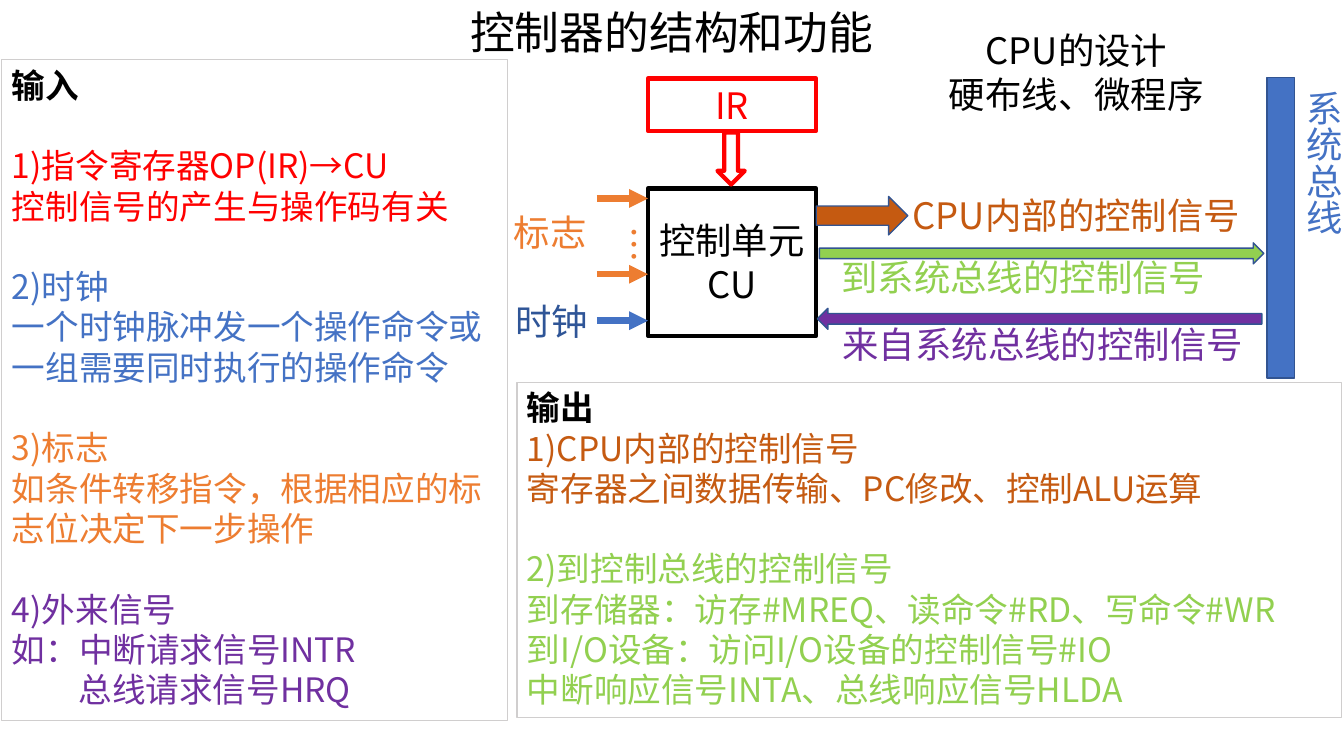
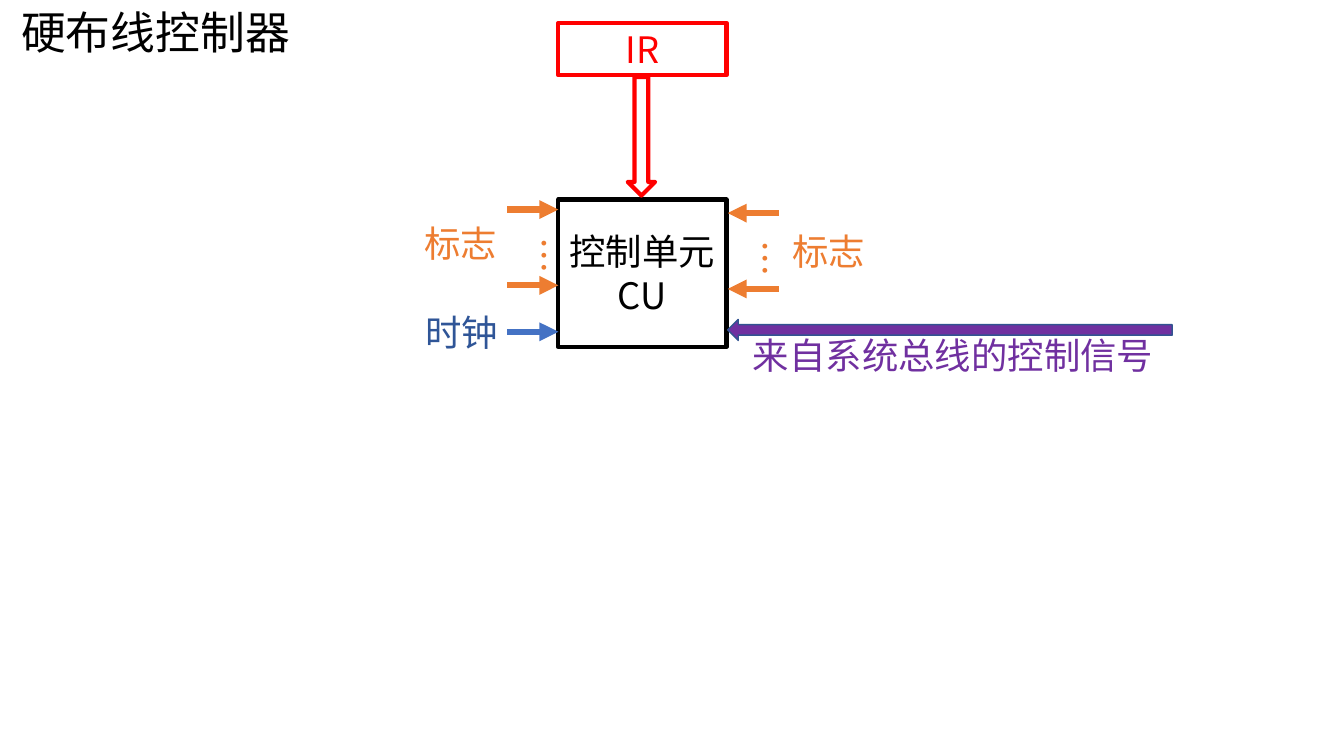
"""Build two slides on the structure of a CPU controller and its hardwired form."""
from lxml import etree
from pptx import Presentation
from pptx.dml.color import RGBColor
from pptx.enum.shapes import MSO_CONNECTOR, MSO_SHAPE
from pptx.enum.text import MSO_ANCHOR, PP_ALIGN
from pptx.oxml.ns import qn
from pptx.util import Cm, Pt

RECTANGLE = MSO_SHAPE.RECTANGLE
RIGHT_ARROW = MSO_SHAPE.RIGHT_ARROW
LEFT_ARROW = MSO_SHAPE.LEFT_ARROW
DOWN_ARROW = MSO_SHAPE.DOWN_ARROW
STRAIGHT = MSO_CONNECTOR.STRAIGHT
TOP = MSO_ANCHOR.TOP
LEFT, CENTER = PP_ALIGN.LEFT, PP_ALIGN.CENTER

FONT = "Noto Sans CJK SC"
LINE_PITCH = 1.2
TITLE_SIZE, LABEL_SIZE, PANEL_SIZE = 32, 26, 24
COLORS = {
    "black": "000000",
    "red": "FF0000",
    "blue": "4472C4",
    "navy": "2F5597",
    "outline": "325491",
    "orange": "ED7D31",
    "brown": "C55A11",
    "green": "92D050",
    "purple": "7030A0",
    "grey": "D0CECE",
}


def write_text(shape, text, color, size=LABEL_SIZE, alignment=CENTER):
    """Fill a shape with one paragraph per line of text and return the paragraphs."""
    frame = shape.text_frame
    frame.text = text
    for paragraph in frame.paragraphs:
        paragraph.alignment = alignment
        paragraph.line_spacing = Pt(round(size * LINE_PITCH, 1))
        font = paragraph.font
        font.size = Pt(size)
        font.bold = False
        font.color.rgb = RGBColor.from_string(COLORS[color])
        font.name = FONT
        east_asian = etree.Element(qn("a:ea"), typeface=FONT)
        font._element.find(qn("a:latin")).addnext(east_asian)
    return frame.paragraphs


def add_box(slide, kind, box, line, width, fill=None):
    """Add a preset shape placed in centimetres."""
    shape = slide.shapes.add_shape(kind, *map(Cm, box))
    shape.shadow.inherit = False
    shape.line.color.rgb = RGBColor.from_string(COLORS[line])
    shape.line.width = Pt(width)
    if fill:
        shape.fill.solid()
        shape.fill.fore_color.rgb = RGBColor.from_string(COLORS[fill])
    else:
        shape.fill.background()
    return shape


presentation = Presentation()
presentation.slide_width = Cm(33.87)
presentation.slide_height = Cm(19.05)
title_only = presentation.slide_layouts[5]

slides = []
for title_text, title_left, title_width in [
    ("控制器的结构和功能", 11.18, 11.51),
    ("硬布线控制器", 0, 7.85),
]:
    slide = presentation.slides.add_slide(title_only)
    title = slide.shapes.title
    title.left, title.top = Cm(title_left), Cm(0)
    title.width, title.height = Cm(title_width), Cm(1.63)
    title.text_frame.vertical_anchor = TOP
    write_text(title, title_text, "black", TITLE_SIZE)
    slides.append(slide)
overview, hardwired = slides

labels = [
    (overview, "CPU内部的控制信号", (22.61, 4.75, 9.04, 1.37), "brown", False),
    (overview, "到系统总线的控制信号", (20.5, 6.3, 10.59, 1.37), "green", False),
    (overview, "系统总线", (32.41, 2.03, 1.63, 3.96), "blue", True),
    (overview, "CPU的设计\n硬布线、微程序", (22.61, 0.58, 9.04, 2.49), "black", False),
]
arrows = []
flag_groups = []

for slide, unit_left, unit_top, register_top in [
    (overview, 16.33, 4.75, 1.98),
    (hardwired, 14.07, 5.03, 0.58),
]:
    unit = add_box(slide, RECTANGLE, (unit_left, unit_top, 4.24, 3.71), "black", 3)
    write_text(unit, "控制单元\nCU", "black")
    register = add_box(slide, RECTANGLE, (unit_left, register_top, 4.24, 1.32), "red", 3)
    write_text(register, "IR", "red")
    arrow_top = register_top + 1.36
    arrow_box = (unit_left + 1.75, arrow_top, 0.69, unit_top - 0.1 - arrow_top)
    add_box(slide, DOWN_ARROW, arrow_box, "red", 3)
    from_bus = (unit_left + 4.27, unit_top + 3.02, 11.2, 0.53)
    add_box(slide, LEFT_ARROW, from_bus, "outline", 1, "purple")

    input_left = unit_left - 1.29
    arrows.append((slide, input_left, unit_left, unit_top + 3.33, "blue"))
    flag_groups.append((slide, input_left, unit_left, unit_top + 0.25, unit_left - 3.73, unit_top + 0.41))
    labels += [
        (slide, "时钟", (unit_left - 3.7, unit_top + 2.67, 2.54, 1.37), "navy", False),
        (slide, "来自系统总线的控制信号", (unit_left + 4.57, unit_top + 3.23, 10.77, 1.37), "purple", False),
    ]

flag_groups.append((hardwired, 19.63, 18.34, 5.37, 19.61, 5.64))
for slide, start, tip, first_top, label_left, label_top in flag_groups:
    for arrow_top in (first_top, first_top + 1.91):
        arrows.append((slide, start, tip, arrow_top, "orange"))
    labels += [
        (slide, "…", (min(start, tip), first_top + 0.45, 1.63, 1.02), "orange", True),
        (slide, "标志", (label_left, label_top, 2.54, 1.37), "orange", False),
    ]

for kind, box, fill in [
    (RIGHT_ARROW, (20.57, 4.95, 2.31, 0.97), "brown"),
    (RIGHT_ARROW, (20.65, 6.12, 11.2, 0.53), "green"),
    (RECTANGLE, (31.93, 1.96, 0.69, 7.57), "blue"),
]:
    add_box(overview, kind, box, "outline", 1, fill)

for slide, start, tip, top, color in arrows:
    connector = slide.shapes.add_connector(STRAIGHT, Cm(start), Cm(top), Cm(tip), Cm(top))
    connector.line.color.rgb = RGBColor.from_string(COLORS[color])
    connector.line.width = Pt(4.5)
    etree.SubElement(connector.line._get_or_add_ln(), qn("a:tailEnd"), type="triangle")
    etree.SubElement(connector._element.spPr, qn("a:effectLst"))

for slide, text, box, color, vertical in labels:
    label = slide.shapes.add_textbox(*map(Cm, box))
    label.text_frame.word_wrap = not vertical
    if vertical:
        label.text_frame._txBody.bodyPr.set("vert", "eaVert")
    write_text(label, text, color, alignment=LEFT if vertical else CENTER)

input_sections = [
    ("black", ["输入"]),
    ("red", ["1)指令寄存器OP(IR)→CU", "控制信号的产生与操作码有关"]),
    ("blue", ["2)时钟", "一个时钟脉冲发一个操作命令或一组需要同时执行的操作命令"]),
    ("orange", ["3)标志", "如条件转移指令，根据相应的标志位决定下一步操作"]),
    ("purple", ["4)外来信号", "如：中断请求信号INTR", "总线请求信号HRQ"]),
]
output_sections = [
    ("brown", ["输出", "1)CPU内部的控制信号", "寄存器之间数据传输、PC修改、控制ALU运算"]),
    ("green", [
        "2)到控制总线的控制信号",
        "到存储器：访存#MREQ、读命令#RD、写命令#WR",
        "到I/O设备：访问I/O设备的控制信号#IO",
        "中断响应信号INTA、总线响应信号HLDA",
    ]),
]
for box, sections in [
    ((0.05, 1.5, 12.73, 16.66), input_sections),
    ((13.03, 9.63, 20.78, 8.46), output_sections),
]:
    panel = add_box(overview, RECTANGLE, box, "grey", 0.75)
    panel.text_frame.vertical_anchor = TOP
    lines = [line for color, section in sections for line in section]
    paragraphs = write_text(panel, "\n".join(lines), "black", PANEL_SIZE, LEFT)
    position = 0
    for color, section in sections:
        if position:
            paragraphs[position].space_before = Pt(PANEL_SIZE * LINE_PITCH)
        for paragraph in paragraphs[position:position + len(section)]:
            paragraph.font.color.rgb = RGBColor.from_string(COLORS[color])
        position += len(section)
    heading = paragraphs[0].font
    heading.bold = True
    heading.color.rgb = RGBColor.from_string(COLORS["black"])
    if sections is input_sections:
        paragraphs[-1]._p.get_or_add_pPr().set("marL", str(Cm(1.68)))

presentation.save("out.pptx")
